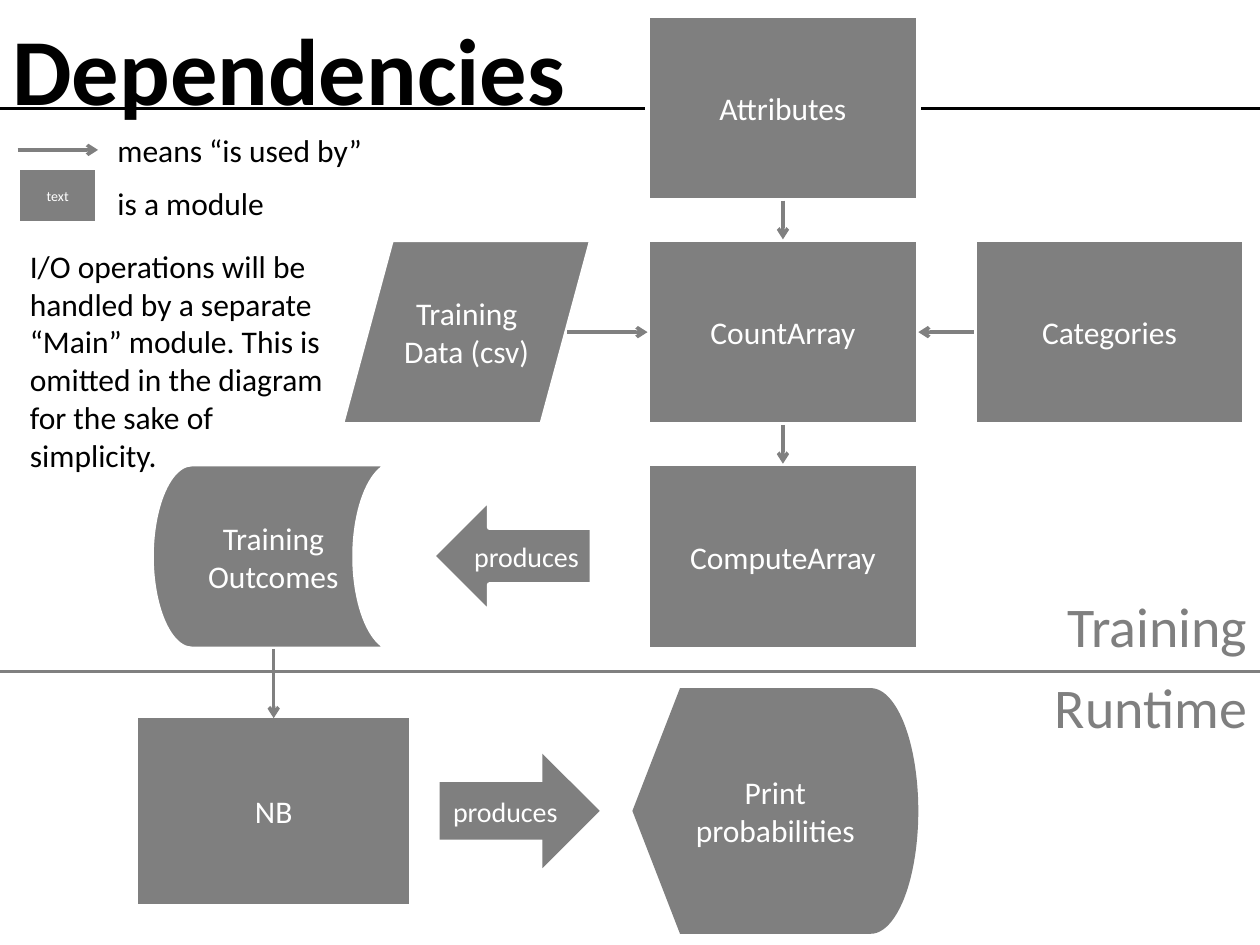
from pptx import Presentation
from pptx.util import Pt
from pptx.dml.color import RGBColor
from pptx.enum.shapes import MSO_SHAPE as Kind, MSO_CONNECTOR as Link
from pptx.enum.text import PP_ALIGN as Align, MSO_ANCHOR as Anchor
from lxml.etree import SubElement
from pptx.oxml.ns import qn

GREY, RULE, WHITE, BLACK = "7F7F7F", "808080", "FFFFFF", "000000"
BOX_W, BOX_H, STEP = 154.8, 106, 128.2
MID_X = 370


def paint(target, code):
    """Set a fill or a font to a hex colour."""
    if hasattr(target, "solid"):
        target.solid()
        target.fore_color.rgb = RGBColor.from_string(code)
    else:
        target.color.rgb = RGBColor.from_string(code)


def style(frame, size, code, align, bold=False, space=None):
    """Format every paragraph and run of a text frame."""
    frame.word_wrap = True
    for para in frame.paragraphs:
        para.alignment = align
        if space:
            para.line_spacing = space
        for run in para.runs:
            run.font.name, run.font.size = "Calibri", Pt(size)
            run.font.bold = bold
            paint(run.font, code)


def node(slide, kind, x, y, w, h, text, size=18, edge=True):
    """Add a grey shape with centred white text."""
    shape = slide.shapes.add_shape(kind, Pt(x), Pt(y), Pt(w), Pt(h))
    shape.shadow.inherit = False
    paint(shape.fill, GREY)
    if edge:
        paint(shape.line.fill, WHITE)
        shape.line.width = Pt(3)
    else:
        shape.line.fill.background()
    shape.text_frame.text = text
    shape.text_frame.vertical_anchor = Anchor.MIDDLE
    style(shape.text_frame, size, WHITE, Align.CENTER)


def label(slide, x, y, w, h, text, size=18, code=BLACK, align=Align.LEFT,
          bold=False, space=None):
    """Add a text box."""
    frame = slide.shapes.add_textbox(Pt(x), Pt(y), Pt(w), Pt(h)).text_frame
    frame.text = text
    style(frame, size, code, align, bold, space)


def line(slide, x1, y1, x2, y2, code=RULE, arrow=True, kind=Link.STRAIGHT):
    """Add a rule or an arrow."""
    link = slide.shapes.add_connector(kind, Pt(x1), Pt(y1), Pt(x2), Pt(y2))
    paint(link.line.fill, code)
    link.line.width = Pt(2)
    props = link.element.spPr
    if arrow:
        SubElement(props.find(qn("a:ln")), qn("a:tailEnd"), type="arrow")
    SubElement(props, qn("a:effectLst"))


def heading(slide, x, y, w):
    """Place the title and the rule through it."""
    line(slide, x, y + 62, x + w, y + 62, BLACK, arrow=False)
    label(slide, x, y + 3, 518, 73, "Dependencies", 54, bold=True)


def legend(slide, x, y):
    """Place the key to the symbols and the note below it."""
    line(slide, x, y + 23, x + 46, y + 23, GREY, kind=Link.ELBOW)
    label(slide, x + 50, y, 220, 67, "means “is used by”\nis a module", space=1.4)
    node(slide, Kind.FLOWCHART_PROCESS, x, y + 33, 46, 32, "text", 8)
    label(slide, x, y + 74.8, 191.5, 138,
          "I/O operations will be handled by a separate “Main” module. "
          "This is omitted in the diagram for the sake of simplicity.")


def training(slide, x, y, w):
    """Place the training modules, their inputs and their result."""
    mid, far = x + MID_X, x + 556.6
    rows = [y + i * STEP for i in range(3)]
    for top, name in zip(rows, ("Attributes", "CountArray", "ComputeArray")):
        node(slide, Kind.FLOWCHART_PROCESS, mid, top, BOX_W, BOX_H, name)
    for top in rows[:2]:
        line(slide, mid + BOX_W / 2, top + BOX_H, mid + BOX_W / 2, top + STEP)
    node(slide, Kind.FLOWCHART_DATA, x + 195, rows[1], 143.3, BOX_H,
         "Training Data (csv)")
    node(slide, Kind.FLOWCHART_PROCESS, far, rows[1], BOX_W, BOX_H, "Categories")
    center = rows[1] + BOX_H / 2
    for start, end in ((x + 324, mid), (far, mid + BOX_W)):
        line(slide, start, center, end, center, kind=Link.ELBOW)
    node(slide, Kind.FLOWCHART_STORED_DATA, x + 86.4, rows[2], 139.7, BOX_H,
         "Training Outcomes")
    node(slide, Kind.LEFT_ARROW, x + 247, rows[2] + 20, 91.4, 65.5, "produces", 16)
    label(slide, x + w - 240, y + 326, 240, 46, "Training", 32, GREY, Align.RIGHT)


def runtime(slide, x, y, w):
    """Place the dividing rule and the runtime modules below it."""
    line(slide, x, y, x + w, y, arrow=False)
    line(slide, x + 156.4, y - 13, x + 156.4, y + 26.6)
    node(slide, Kind.FLOWCHART_PROCESS, x + 79, y + 26.6, BOX_W, BOX_H, "NB",
         edge=False)
    node(slide, Kind.RIGHT_ARROW, x + 251.3, y + 46.8, 91.4, 65.5, "produces", 16,
         edge=False)
    node(slide, Kind.FLOWCHART_DISPLAY, x + 361.4, y + 9.4, 163.4, 140.4,
         "Print probabilities", edge=False)
    label(slide, x + w - 240, y - 3, 240, 46, "Runtime", 32, GREY, Align.RIGHT)


def main():
    """Build the slide and save it."""
    deck = Presentation()
    deck.slide_width, deck.slide_height = Pt(720), Pt(540)
    slide = deck.slides.add_slide(deck.slide_layouts[6])
    heading(slide, 0, 0, 720)
    training(slide, 0, 8.6, 720)
    runtime(slide, 0, 383.8, 720)
    legend(slide, 10, 62.7)
    deck.save("out.pptx")


main()
